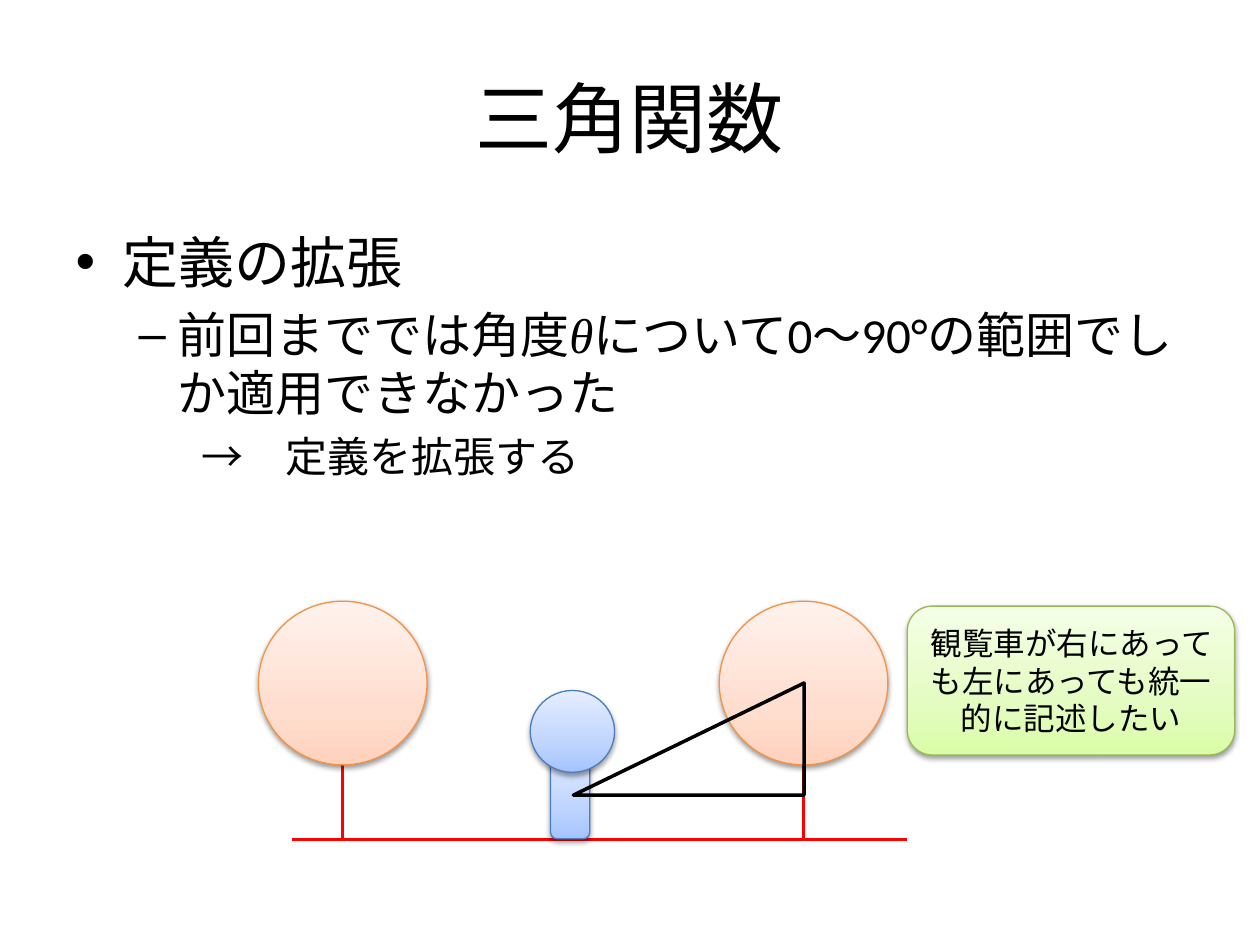
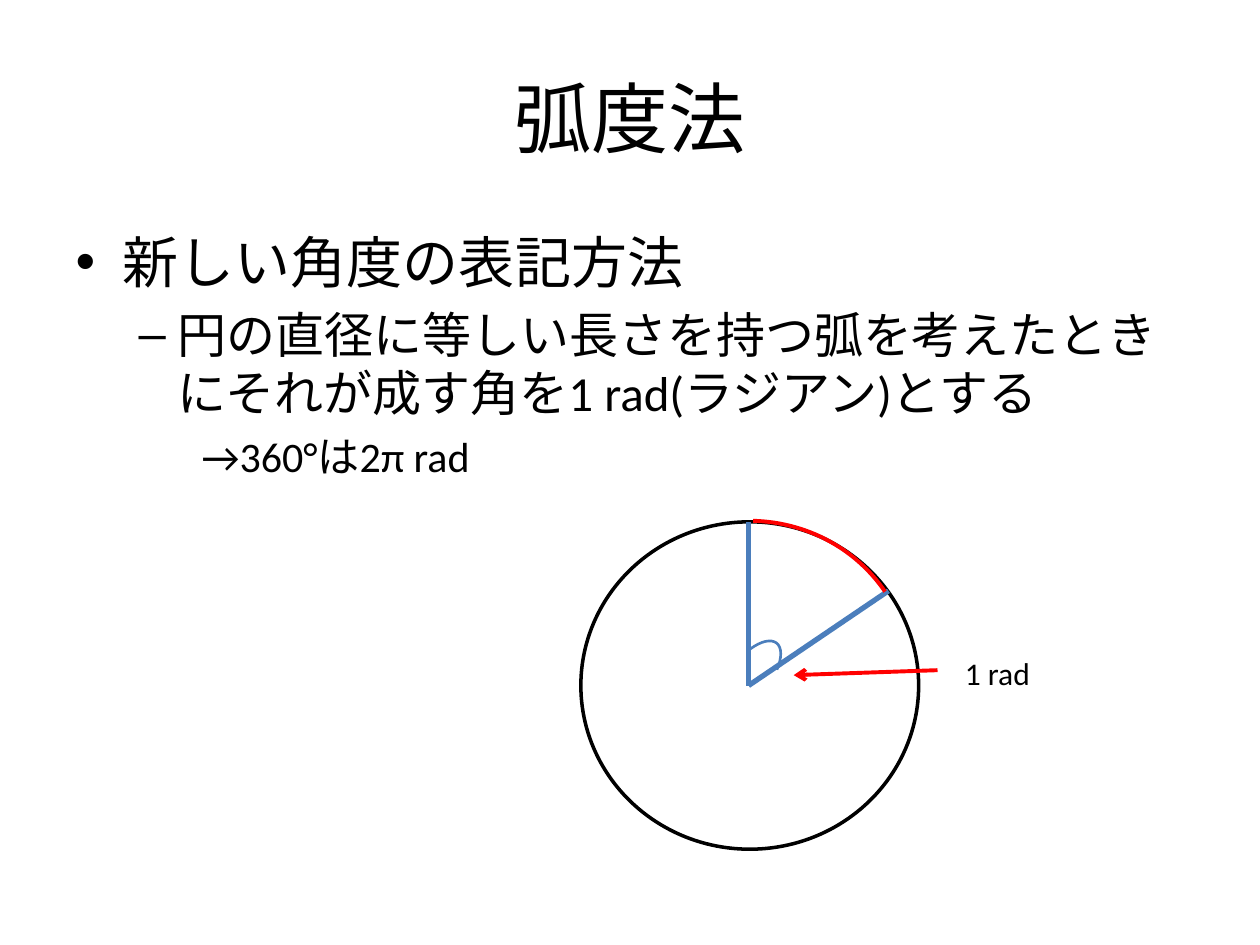
from dataclasses import dataclass

from pptx import Presentation
from pptx.dml.color import RGBColor
from pptx.enum.dml import MSO_FILL
from pptx.enum.lang import MSO_LANGUAGE_ID
from pptx.enum.shapes import MSO_CONNECTOR, MSO_SHAPE
from pptx.enum.text import MSO_ANCHOR, MSO_AUTO_SIZE, PP_ALIGN
from pptx.oxml import parse_xml
from pptx.oxml.ns import nsdecls, qn
from pptx.oxml.xmlchemy import OxmlElement
from pptx.util import Cm, Pt

STRAIGHT = MSO_CONNECTOR.STRAIGHT
OVAL = MSO_SHAPE.OVAL
ROUNDED = MSO_SHAPE.ROUNDED_RECTANGLE
TRIANGLE = MSO_SHAPE.ISOSCELES_TRIANGLE
ARC = MSO_SHAPE.ARC
CENTER = PP_ALIGN.CENTER
LEFT = PP_ALIGN.LEFT
MIDDLE = MSO_ANCHOR.MIDDLE
TOP = MSO_ANCHOR.TOP
GROW = MSO_AUTO_SIZE.SHAPE_TO_FIT_TEXT
JAPANESE = MSO_LANGUAGE_ID.JAPANESE
SOLID = MSO_FILL.SOLID


@dataclass(frozen=True)
class Gradient:
    """Colours at 0, 35 and 100 % from the bottom up, and the outline."""
    dark: str
    middle: str
    light: str
    line: str


@dataclass(frozen=True)
class Theme:
    font: str = "Calibri"
    symbol_font: str = "Times New Roman"
    title_size: float = 44
    list_sizes: tuple[float, ...] = (32, 28, 24)
    label_size: float = 18
    black: str = "000000"
    white: str = "FFFFFF"
    red: str = "FF0000"
    blue: str = "4B7EBC"
    orange_gradient: Gradient = Gradient("FFD2BD", "FFDED0", "FFF2ED", "F69240")
    blue_gradient: Gradient = Gradient("A4C4FF", "BFD4FF", "E6EEFF", "4B7EBC")
    green_gradient: Gradient = Gradient("DAFDA7", "E4FCC2", "F5FFE7", "98B955")


THEME = Theme()


@dataclass(frozen=True)
class Box:
    """Position and size in centimetres."""
    left: float
    top: float
    width: float
    height: float

    def lengths(self) -> tuple:
        return Cm(self.left), Cm(self.top), Cm(self.width), Cm(self.height)


@dataclass(frozen=True)
class Line:
    """A straight line between two points in centimetres."""
    start: tuple[float, float]
    end: tuple[float, float]
    color: str
    weight: float
    arrow: bool = False


@dataclass(frozen=True)
class Span:
    text: str
    symbol: bool = False


@dataclass(frozen=True)
class Outline:
    """A preset shape with a plain outline."""
    preset: int
    box: Box
    color: str
    weight: float
    fill: str | None = None
    adjustments: tuple[float, ...] = ()
    rotation: float = 0


TITLE_BOX = Box(1.27, 0.76, 22.86, 3.18)
LIST_BOX = Box(1.27, 4.45, 22.86, 12.57)


def rgb(color: str) -> RGBColor:
    return RGBColor.from_string(color)


def place(shape, box: Box) -> None:
    shape.left, shape.top, shape.width, shape.height = box.lengths()


def add_span(para, span: Span, size: float) -> None:
    run = para.add_run()
    run.text = span.text
    run.font.name = THEME.symbol_font if span.symbol else THEME.font
    run.font.size = Pt(size)
    run.font.italic = span.symbol
    run.font.color.rgb = rgb(THEME.black)
    run.font.language_id = JAPANESE


def add_page(deck, title: str, items: list[list[Span]]):
    """Add a page whose list goes one level deeper with each item."""
    page = deck.slides.add_slide(deck.slide_layouts[1])
    heading, body = page.shapes.title, page.placeholders[1]
    place(heading, TITLE_BOX)
    place(body, LIST_BOX)
    heading.text_frame.vertical_anchor = MIDDLE
    para = heading.text_frame.paragraphs[0]
    para.alignment = CENTER
    add_span(para, Span(title), THEME.title_size)

    frame = body.text_frame
    for level, spans in enumerate(items):
        para = frame.add_paragraph() if level else frame.paragraphs[0]
        para.level = level
        for span in spans:
            add_span(para, span, THEME.list_sizes[level])
    remove_bullet(para)
    return page


def remove_bullet(para) -> None:
    properties = para._p.get_or_add_pPr()
    properties.set("marL", str(Cm(2.54)))
    properties.set("indent", "0")
    properties.append(OxmlElement("a:buNone"))


def add_line(page, line: Line) -> None:
    ends = [Cm(value) for value in (*line.start, *line.end)]
    connector = page.shapes.add_connector(STRAIGHT, *ends)
    connector.line.color.rgb = rgb(line.color)
    connector.line.width = Pt(line.weight)
    if line.arrow:
        head = OxmlElement("a:tailEnd")
        head.set("type", "arrow")
        connector.line._get_or_add_ln().append(head)
    connector._element.spPr.append(OxmlElement("a:effectLst"))


def add_outline(page, outline: Outline) -> None:
    shape = page.shapes.add_shape(outline.preset, *outline.box.lengths())
    shape.shadow.inherit = False
    for index, value in enumerate(outline.adjustments):
        shape.adjustments[index] = value
    shape.rotation = outline.rotation
    if outline.fill:
        shape.fill.solid()
        shape.fill.fore_color.rgb = rgb(outline.fill)
    else:
        shape.fill.background()
    shape.line.color.rgb = rgb(outline.color)
    shape.line.width = Pt(outline.weight)


def add_glossy(page, preset: int, box: Box, gradient: Gradient):
    """Add a shape with a vertical gradient and a soft shadow below it."""
    shape = page.shapes.add_shape(preset, *box.lengths())
    shape.line.color.rgb = rgb(gradient.line)
    shape.line.width = Pt(0.75)
    shape.fill.background()
    shape.shadow.inherit = False
    properties = shape._element.spPr
    colors = ((0, gradient.dark), (35, gradient.middle), (100, gradient.light))
    stops = "".join(
        f'<a:gs pos="{percent * 1000}"><a:srgbClr val="{color}"/></a:gs>'
        for percent, color in colors
    )
    fill = parse_xml(
        f'<a:gradFill {nsdecls("a")} rotWithShape="1"><a:gsLst>{stops}</a:gsLst>'
        '<a:lin ang="16200000" scaled="1"/></a:gradFill>'
    )
    properties.replace(properties.find(qn("a:noFill")), fill)
    shadow = parse_xml(
        f'<a:outerShdw {nsdecls("a")} blurRad="{Pt(3.1)}" dist="{Pt(1.6)}" '
        f'dir="5400000" rotWithShape="0"><a:srgbClr val="{THEME.black}">'
        '<a:alpha val="38000"/></a:srgbClr></a:outerShdw>'
    )
    properties.find(qn("a:effectLst")).append(shadow)
    return shape


def write_label(shape, text: str, alignment, anchor) -> None:
    frame = shape.text_frame
    frame.word_wrap = True
    frame.vertical_anchor = anchor
    para = frame.paragraphs[0]
    para.alignment = alignment
    add_span(para, Span(text), THEME.label_size)


def build_trigonometry(deck) -> None:
    page = add_page(deck, "三角関数", [
        [Span("定義の拡張")],
        [
            Span("前回まででは角度"),
            Span("θ", symbol=True),
            Span("について0～90°の範囲でしか適用できなかった"),
        ],
        [Span("→　定義を拡張する")],
    ])
    ground = 16.92
    wheel_width, wheel_height, wheel_top = 3.4, 3.3, 12.12
    add_line(page, Line((18.29, ground), (5.89, ground), THEME.red, 1.5))
    for center in (6.91, 16.2):
        add_line(page, Line((center, 13.51), (center, ground), THEME.red, 1.5))
        wheel = Box(center - wheel_width / 2, wheel_top, wheel_width, wheel_height)
        add_glossy(page, OVAL, wheel, THEME.orange_gradient)

    add_glossy(page, ROUNDED, Box(11.1, 15.11, 0.79, 1.8), THEME.blue_gradient)
    add_glossy(page, OVAL, Box(10.69, 13.92, 1.7, 1.65), THEME.blue_gradient)
    sight = Box(11.56, wheel_top + wheel_height / 2, 4.65, 2.26)
    add_outline(page, Outline(TRIANGLE, sight, THEME.black, 2, adjustments=(1,)))
    note = add_glossy(page, ROUNDED, Box(18.29, 12.22, 6.6, 3), THEME.green_gradient)
    write_label(note, "観覧車が右にあっても左にあっても統一的に記述したい", CENTER, MIDDLE)


def build_radian(deck) -> None:
    page = add_page(deck, "弧度法", [
        [Span("新しい角度の表記方法")],
        [Span("円の直径に等しい長さを持つ弧を考えたときにそれが成す角を1 rad(ラジアン)とする")],
        [Span("→360°は2π rad")],
    ])
    circle_top, diameter = 10.52, (6.81, 6.6)
    center = (15.09, 13.82)
    circle = Box(11.71, circle_top, *diameter)
    add_outline(page, Outline(OVAL, circle, THEME.black, 2, THEME.white))
    for rim in ((center[0], circle_top), (17.91, 11.91)):
        add_line(page, Line(center, rim, THEME.blue, 3))

    angle_mark = Outline(ARC, Box(14.73, 12.78, 0.79, 1.7), THEME.blue, 1.5,
                         adjustments=(138.73, 184.83), rotation=38.6)
    unit_arc = Outline(ARC, Box(11.61, circle_top, *diameter), THEME.red, 2.25,
                       adjustments=(179.59, 211.57), rotation=333.6)
    for arc in (angle_mark, unit_arc):
        add_outline(page, arc)

    add_line(page, Line((18.9, 13.51), (16, 13.61), THEME.red, 2.25, arrow=True))
    label = page.shapes.add_textbox(*Box(19.2, 13.06, 2.08, 1.02).lengths())
    write_label(label, "1 rad", LEFT, TOP)
    label.text_frame.auto_size = GROW


def main() -> None:
    deck = Presentation()
    deck.slide_width, deck.slide_height = Cm(25.4), Cm(19.05)
    background = deck.slide_master.background.fill
    if background.type != SOLID:
        background.solid()
    background.fore_color.rgb = rgb(THEME.white)
    build_trigonometry(deck)
    build_radian(deck)
    deck.save("out.pptx")


if __name__ == "__main__":
    main()
